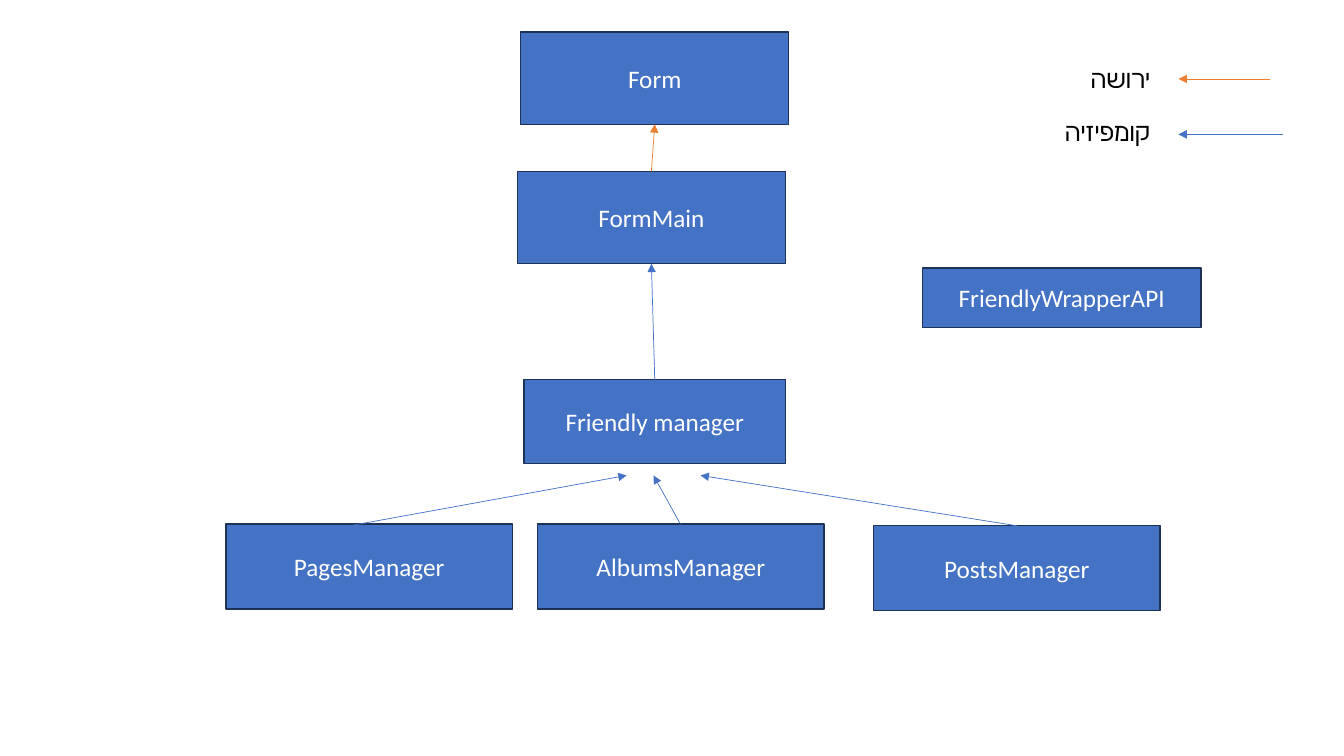
"""Build a class diagram slide with inheritance and composition arrows."""
import pptx
import pptx.util
import pptx.dml.color
import pptx.enum.shapes
import pptx.enum.text
import pptx.oxml.ns
import lxml.etree

RGBColor = pptx.dml.color.RGBColor
BLUE = RGBColor(0x44, 0x72, 0xC4)
NAVY = RGBColor(0x1E, 0x32, 0x56)
ORANGE = RGBColor(0xED, 0x7D, 0x31)
WHITE = RGBColor(0xFF, 0xFF, 0xFF)
BLACK = RGBColor(0x00, 0x00, 0x00)
ALIGN = pptx.enum.text.PP_ALIGN
ANCHOR = pptx.enum.text.MSO_ANCHOR

prs = pptx.Presentation()
prs.slide_width = pptx.util.Emu(12192000)
prs.slide_height = pptx.util.Emu(6858000)
COL = prs.slide_width / 160
ROW = prs.slide_height / 90
s = prs.slides.add_slide(prs.slide_layouts[6])


def write(sp, text, align, color):
    tf = sp.text_frame
    tf.word_wrap = True
    p = tf.paragraphs[0]
    p.alignment = align
    p._p.get_or_add_pPr().set("rtl", "1")
    r = p.add_run()
    r.text = text
    r.font.name = "Calibri"
    r.font.size = pptx.util.Pt(18)
    r.font.color.rgb = color


def arrow(x1, y1, x2, y2, color):
    c = s.shapes.add_connector(
        pptx.enum.shapes.MSO_CONNECTOR.STRAIGHT,
        round(x1 * COL), round(y1 * ROW), round(x2 * COL), round(y2 * ROW))
    c.line.color.rgb = color
    c.line.width = pptx.util.Pt(0.5)
    ln = c.line._get_or_add_ln()
    lxml.etree.SubElement(ln, pptx.oxml.ns.qn("a:tailEnd"), type="triangle")
    lxml.etree.SubElement(c._element.spPr, pptx.oxml.ns.qn("a:effectLst"))
    return c


boxes = {}
for name, x, y, w, h in [
    ("Friendly manager", 62.4, 45.2, 31.1, 10),
    ("PostsManager", 104, 62.6, 34.1, 10.1),
    ("AlbumsManager", 64, 62.4, 34.1, 10.1),
    ("PagesManager", 26.9, 62.4, 34.1, 10.1),
    ("FormMain", 61.6, 20.4, 31.9, 11),
    ("Form", 62, 3.8, 31.9, 11),
    ("FriendlyWrapperAPI", 109.8, 31.9, 33.2, 7.1),
]:
    sp = s.shapes.add_shape(
        pptx.enum.shapes.MSO_SHAPE.RECTANGLE,
        round(x * COL), round(y * ROW), round(w * COL), round(h * ROW))
    sp.shadow.inherit = False
    sp.fill.solid()
    sp.fill.fore_color.rgb = BLUE
    sp.line.color.rgb = NAVY
    sp.line.width = pptx.util.Pt(1)
    sp.text_frame.vertical_anchor = ANCHOR.MIDDLE
    write(sp, name, ALIGN.CENTER, WHITE)
    boxes[name] = sp

for label, y, line_y, start, color in [
    ("ירושה", 7, 9.4, 151.2, ORANGE),
    ("קומפיזיה", 13.2, 16, 152.8, BLUE),
]:
    sp = s.shapes.add_textbox(
        round(115 * COL), round(y * ROW), round(23.1 * COL), round(4.8 * ROW))
    write(sp, label, ALIGN.RIGHT, BLACK)
    arrow(start, line_y, 140.3, line_y, color)

for child, parent, color in [
    ("FormMain", "Form", ORANGE),
    ("Friendly manager", "FormMain", BLUE),
]:
    c = arrow(78, 20, 78, 15, color)
    c.begin_connect(boxes[child], 0)
    c.end_connect(boxes[parent], 2)

for x1, y1, x2 in [(41.6, 62.6, 74.6), (81, 62.4, 77.8), (121.1, 62.6, 83.4)]:
    arrow(x1, y1, x2, 56.6, BLUE)

prs.save("out.pptx")
